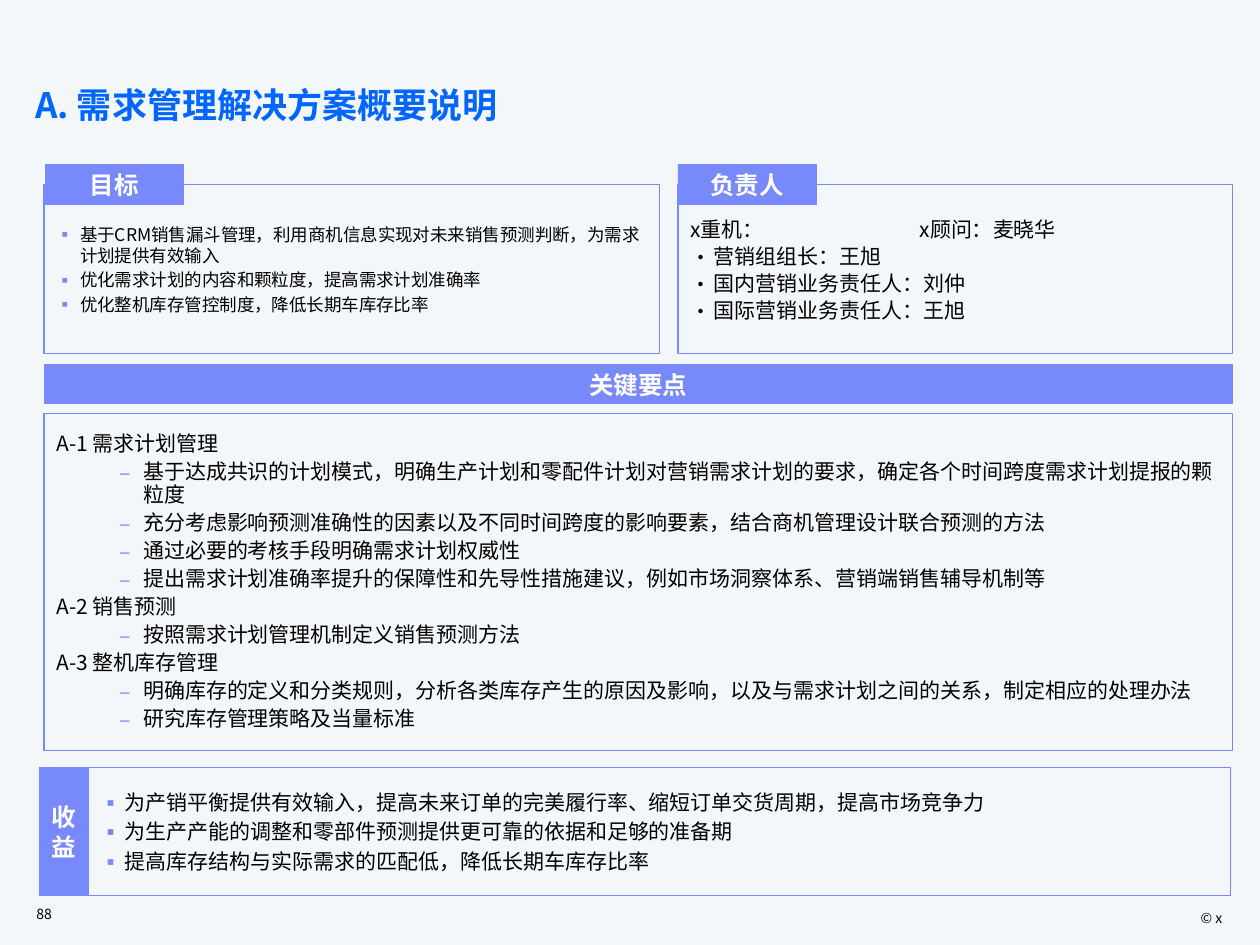
from pptx import Presentation
from pptx import util as u
from pptx.dml import color
from pptx.enum import shapes, text
from pptx.oxml import ns
from lxml import etree

FONT = "Noto Sans CJK SC"
COLORS = {
    "background": "F4F7FA",
    "accent": "7889FB",
    "title": "0066FF",
    "body": "000000",
    "light": "FFFFFF",
}
LEFT, CENTER, RIGHT = text.PP_ALIGN.LEFT, text.PP_ALIGN.CENTER, text.PP_ALIGN.RIGHT
TOP, MIDDLE = text.MSO_ANCHOR.TOP, text.MSO_ANCHOR.MIDDLE
HANGING = 13.5

GOALS = [
    "基于CRM销售漏斗管理，利用商机信息实现对未来销售预测判断，为需求计划提供有效输入",
    "优化需求计划的内容和颗粒度，提高需求计划准确率",
    "优化整机库存管控制度，降低长期车库存比率",
]
OWNERS = ["营销组组长：王旭", "国内营销业务责任人：刘仲", "国际营销业务责任人：王旭"]
KEY_POINTS = {
    "A-1 需求计划管理": [
        "基于达成共识的计划模式，明确生产计划和零配件计划对营销需求计划的要求，确定各个时间跨度需求计划提报的颗粒度",
        "充分考虑影响预测准确性的因素以及不同时间跨度的影响要素，结合商机管理设计联合预测的方法",
        "通过必要的考核手段明确需求计划权威性",
        "提出需求计划准确率提升的保障性和先导性措施建议，例如市场洞察体系、营销端销售辅导机制等",
    ],
    "A-2 销售预测": ["按照需求计划管理机制定义销售预测方法"],
    "A-3 整机库存管理": [
        "明确库存的定义和分类规则，分析各类库存产生的原因及影响，以及与需求计划之间的关系，制定相应的处理办法",
        "研究库存管理策略及当量标准",
    ],
}
BENEFITS = [
    "为产销平衡提供有效输入，提高未来订单的完美履行率、缩短订单交货周期，提高市场竞争力",
    "为生产产能的调整和零部件预测提供更可靠的依据和足够的准备期",
    "提高库存结构与实际需求的匹配低，降低长期车库存比率",
]


def rgb(name):
    return color.RGBColor.from_string(COLORS[name])


def sub(parent, tag, **attrs):
    return etree.SubElement(parent, ns.qn(tag), **attrs)


def add_bullet(p, char, name, margin):
    pPr = p._p.get_or_add_pPr()
    pPr.set("marL", str(u.Pt(margin)))
    pPr.set("indent", str(-u.Pt(HANGING)))
    sub(sub(pPr, "a:buClr"), "a:srgbClr", val=COLORS[name])
    sub(pPr, "a:buFont", typeface=FONT)
    sub(pPr, "a:buChar", char=char)


def add_tab(p, pos):
    tabs = sub(p._p.get_or_add_pPr(), "a:tabLst")
    sub(tabs, "a:tab", pos=str(u.Pt(pos)), algn="l")


def add_text(tf, content, size=12, name="body", bold=False, align=LEFT, line=None,
             before=0, bullet=None, bullet_color="accent", margin=HANGING, tab=None):
    first = not tf.paragraphs[0].runs
    p = tf.paragraphs[0] if first else tf.add_paragraph()
    if bullet:
        add_bullet(p, bullet, bullet_color, margin)
    if tab:
        add_tab(p, tab)
    p.alignment = align
    p.space_before = u.Pt(0 if first else before)
    if line:
        p.line_spacing = line
    r = p.add_run()
    r.text = content
    r.font.size, r.font.bold, r.font.name = u.Pt(size), bold, FONT
    r.font.color.rgb = rgb(name)
    sub(r._r.get_or_add_rPr(), "a:ea", typeface=FONT)


def set_frame(sp, anchor, inset=3.6):
    tf = sp.text_frame
    tf.word_wrap = True
    tf.vertical_anchor = anchor
    tf.margin_left = tf.margin_right = u.Pt(7.2)
    tf.margin_top = u.Pt(inset)
    tf.margin_bottom = u.Pt(min(inset, 6))
    return tf


def add_label(s, box, content, anchor=TOP, **fmt):
    sp = s.shapes.add_textbox(*map(u.Pt, box))
    add_text(set_frame(sp, anchor), content, **fmt)


def add_box(s, box, fill=None, weight=0.75, anchor=MIDDLE, inset=3.6):
    sp = s.shapes.add_shape(shapes.MSO_SHAPE.RECTANGLE, *map(u.Pt, box))
    sp.shadow.inherit = False
    if fill:
        sp.fill.solid()
        sp.fill.fore_color.rgb = rgb(fill)
    else:
        sp.fill.background()
    sp.line.color.rgb = rgb("accent")
    sp.line.width = u.Pt(weight)
    return set_frame(sp, anchor, inset)


def add_header(s, box, content):
    tf = add_box(s, box, fill="accent", weight=0.5)
    add_text(tf, content, size=14, name="light", bold=True, align=CENTER, line=u.Pt(17))


def add_bullets(s, box, items, size):
    tf = add_box(s, box)
    for item in items:
        add_text(tf, item, size=size, line=u.Pt(size * 1.2), before=size * 0.2, bullet="▪")


def add_owners(s, box):
    tf = add_box(s, box, anchor=TOP, inset=19.5)
    fmt = dict(line=u.Pt(13), before=2.4)
    add_text(tf, "x重机：\tx顾问：麦晓华", tab=131, **fmt)
    for owner in OWNERS:
        add_text(tf, owner, bullet="•", bullet_color="body", **fmt)


def add_key_points(s, box):
    tf = add_box(s, box, inset=6)
    fmt = dict(line=u.Pt(13), before=3)
    for heading, points in KEY_POINTS.items():
        add_text(tf, heading, **fmt)
        for point in points:
            add_text(tf, point, bullet="‒", margin=49.5, **fmt)


def main():
    prs = Presentation()
    prs.slide_width, prs.slide_height = u.Pt(720), u.Pt(540)
    s = prs.slides.add_slide(prs.slide_layouts[6])
    s.background.fill.solid()
    s.background.fill.fore_color.rgb = rgb("background")

    add_label(s, (597.6, 516.2, 108, 14.4), "© x", size=8, align=RIGHT)
    add_label(s, (13.7, 513.4, 50.4, 17.3), "88", anchor=MIDDLE, size=8)
    add_label(s, (13, 46.8, 694.8, 54.7), "A. 需求管理解决方案概要说明",
              size=20, name="title", bold=True, line=0.9)

    add_bullets(s, (25.2, 105.6, 351.6, 96.4), GOALS, 10)
    add_bullets(s, (50.6, 438.6, 652.4, 73.2), BENEFITS, 12)
    add_key_points(s, (25.2, 236.2, 679.2, 192.8))
    add_owners(s, (387.4, 105.6, 317, 96.4))

    add_header(s, (22.4, 438.6, 28.2, 73.2), "收益")
    add_header(s, (25.8, 94.2, 78.9, 22.6), "目标")
    add_header(s, (387.4, 94.2, 78.9, 22.6), "负责人")
    add_header(s, (25.2, 208.2, 679.2, 22.6), "关键要点")
    prs.save("out.pptx")


if __name__ == "__main__":
    main()
